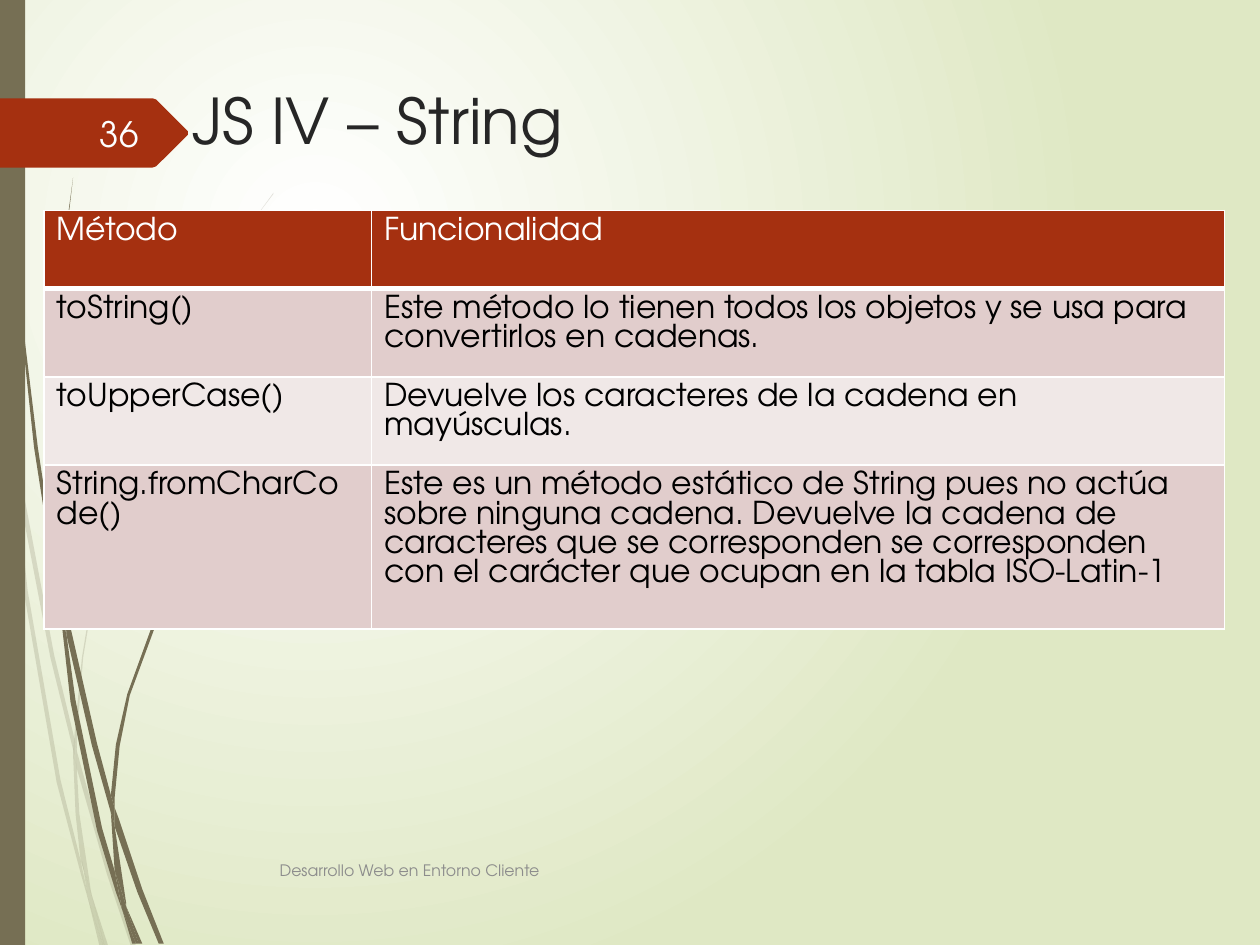
import pptx
import pptx.util
import pptx.dml.color
import pptx.enum.shapes
import pptx.enum.text
import pptx.oxml
import pptx.oxml.ns
from dataclasses import dataclass
from pptx.util import Inches

FONT = "TeX Gyre Adventor"
HUES = {
    "white": "FFFFFF", "lime": "DFE8C4", "olive": "766F54", "rust": "A53010",
    "ink": "262626", "grey": "8C8C8C", "snow": "FEFFFF", "black": "000000",
    "rose": "E1CDCC", "pale": "F0E8E7",
}
ALIGN = pptx.enum.text.PP_ALIGN
ANCHOR = pptx.enum.text.MSO_ANCHOR


@dataclass
class Label:
    text: str
    left: float
    top: float
    width: float
    height: float
    size: int
    hue: str
    anchor: ANCHOR = ANCHOR.MIDDLE
    align: ALIGN = ALIGN.LEFT


@dataclass
class Row:
    method: str
    use: str
    height: float
    fill: str
    hue: str = "black"


FAINT = [
    "0.08,3.5 0.06,3.22 0,2.82 0,2.99 0.07,3.44",
    "0.4,5.22 0.59,5.99 0.59,5.86 0.43,5.2 0.1,3.45 0.12,3.76",
    "0.64,6.07 0.61,5.96 0.61,6.1 0.85,6.94 1.04,7.51 1.08,7.51 0.88,6.92",
    "0.83,7.51 0.86,7.51 0.73,7.11",
    "0.64,6.83 0.48,6.19 0.22,4.69 0.12,3.76 0.08,3.5 0.19,4.7 0.45,6.21 0.64,6.93 0.7,7.14 0.69,7.07",
    "0.58,5.99 0.6,6.46 0.64,6.83 0.67,6.92 0.73,7.11 0.72,7.06 0.63,6.46 0.61,6.1 0.61,6.08",
    "0.61,5.84 0.66,5.22 0.76,4.62 1.11,3.49 1.59,2.45 1.87,1.98 2.01,1.75 2.17,1.54 2.17,1.53 "
    "2.01,1.75 1.86,1.97 1.58,2.44 1.1,3.48 0.75,4.61 0.65,5.22 0.59,5.84 0.59,5.86 0.61,5.96",
    "0.7,7.14 0.79,7.51 0.82,7.51",
    "0.61,6.08 0.61,6.1 0.61,5.96 0.59,5.86 0.58,5.99",
    "0.67,6.92 0.65,6.83 0.69,7.07 0.7,7.14 0.82,7.51 0.83,7.51 0.73,7.11",
]
SOLID = [
    "0.05,1.1 0.14,2.33 0.27,3.55 0.46,4.77 0.47,4.81 0.45,4.57 0.45,4.53 0.3,3.55 "
    "0.15,2.32 0.06,1.09 0.04,0.48 0.03,0 0.02,0 0.03,0.48",
    "0.73,5.92 0.88,6.45 0.88,6.31 0.77,5.9 0.5,4.72 0.53,5.05",
    "0.94,6.49 0.91,6.41 0.91,6.56 1.09,7.08 1.26,7.49 1.3,7.49 1.13,7.06",
    "0.91,6.91 0.81,6.57 0.6,5.56 0.53,5.05 0.47,4.77 0.56,5.57 0.77,6.59 0.92,7.08 0.97,7.22 0.96,7.17",
    "0.5,4.72 0.48,4.53 0.44,3.49 0.48,2.45 0.52,1.93 0.58,1.41 0.51,1.93 0.47,2.45 0.43,3.49 0.45,4.49 0.49,4.72",
    "1.1,7.49 1.13,7.49 1,7.19",
    "0.47,4.77 0.53,5.05 0.5,4.72 0.49,4.72 0.45,4.49 0.45,4.53",
    "0.91,6.33 0.95,5.92 1.03,5.52 1.31,4.76 1.69,4.06 1.91,3.74 2.03,3.59 2.16,3.44 2.15,3.44 "
    "2.03,3.58 1.91,3.73 1.68,4.05 1.29,4.74 1.01,5.51 0.92,5.91 0.88,6.31 0.91,6.41",
    "0.97,7.22 1.05,7.49 1.08,7.49",
    "0.88,6.45 0.91,6.91 0.96,7.06 1,7.19 1,7.16 0.91,6.56 0.9,6.51",
    "0.88,6.45 0.9,6.51 0.91,6.56 0.91,6.41 0.88,6.31",
    "0.96,7.06 0.91,6.91 0.96,7.17 0.97,7.22 1.08,7.49 1.1,7.49 1,7.19",
]
TAG = "1.49,1.07 1.24,1.32 1.21,1.33 0,1.33 0,0.78 1.21,0.78 1.24,0.79 1.49,1.04"

LABELS = [
    Label("JS IV – String", 1.43, 0.6, 9, 0.87, 36, "ink", ANCHOR.TOP),
    Label("Desarrollo Web en Entorno Cliente", 2.12, 6.71, 6.25, 0.4, 9, "grey"),
    Label("36", 0.56, 0.86, 0.64, 0.4, 20, "snow", align=ALIGN.RIGHT),
]
ROWS = [
    Row("Método", "Funcionalidad", 0.62, "rust", "white"),
    Row("toString()", "Este método lo tienen todos los objetos y se usa para convertirlos en cadenas.", 0.7, "rose"),
    Row("toUpperCase()", "Devuelve los caracteres de la cadena en mayúsculas.", 0.59, "pale"),
    Row("String.fromCharCode()",
        "Este es un método estático de String pues no actúa sobre ninguna cadena. "
        "Devuelve la cadena de caracteres que se corresponden se corresponden "
        "con el carácter que ocupan en la tabla ISO-Latin-1", 1.3, "rose"),
]


def tint(name: str) -> pptx.dml.color.RGBColor:
    return pptx.dml.color.RGBColor.from_string(HUES[name])


def paint(shape, hue: str, alpha: int = 100) -> None:
    shape.shadow.inherit = False
    shape.fill.solid()
    shape.fill.fore_color.rgb = tint(hue)
    shape.line.fill.background()
    if alpha < 100:
        node = next(shape._element.spPr.iter(pptx.oxml.ns.qn("a:srgbClr")))
        node.append(pptx.oxml.parse_xml(
            f'<a:alpha {pptx.oxml.ns.nsdecls("a")} val="{alpha * 1000}"/>'))


def draw_blob(slide, text: str, hue: str, alpha: int = 100) -> None:
    spots = [tuple(Inches(float(part)) for part in pair.split(",")) for pair in text.split()]
    pen = slide.shapes.build_freeform(*spots[0])
    pen.add_line_segments(spots[1:], close=True)
    paint(pen.convert_to_shape(), hue, alpha)


def style(para, size: int, hue: str) -> None:
    para.font.name = FONT
    para.font.size = pptx.util.Pt(size)
    para.font.bold = False
    para.font.color.rgb = tint(hue)


def draw_label(slide, label: Label) -> None:
    box = slide.shapes.add_textbox(*map(Inches, (label.left, label.top, label.width, label.height)))
    frame = box.text_frame
    frame.word_wrap = True
    frame.vertical_anchor = label.anchor
    para = frame.paragraphs[0]
    para.text = label.text
    para.alignment = label.align
    style(para, label.size, label.hue)


def edge(cell, base: int) -> None:
    props = cell._tc.get_or_add_tcPr()
    for spot, side in enumerate("LRTB"):
        width = pptx.util.Pt(base if side == "B" else 1)
        props.insert(spot, pptx.oxml.parse_xml(
            f'<a:ln{side} {pptx.oxml.ns.nsdecls("a")} w="{width}"><a:solidFill>'
            f'<a:srgbClr val="{HUES["white"]}"/></a:solidFill></a:ln{side}>'))


def draw_table(slide, rows: list[Row]) -> None:
    widths = (2.6, 6.77)
    tall = sum(row.height for row in rows)
    table = slide.shapes.add_table(len(rows), len(widths), Inches(0.35), Inches(1.67),
                                   Inches(sum(widths)), Inches(tall)).table
    table.first_row = table.horz_banding = False
    for col, width in zip(table.columns, widths):
        col.width = Inches(width)
    for spot, row in enumerate(rows):
        table.rows[spot].height = Inches(row.height)
        for cell, text in zip(table.rows[spot].cells, (row.method, row.use)):
            cell.fill.solid()
            cell.fill.fore_color.rgb = tint(row.fill)
            cell.text = text
            style(cell.text_frame.paragraphs[0], 18, row.hue)
            edge(cell, 3 if spot == 0 else 1)


def fill_back(slide) -> None:
    fill = slide.background.fill
    fill.gradient()
    for stop, hue in zip(fill.gradient_stops, ("white", "lime")):
        stop.color.rgb = tint(hue)
    line = next(slide._element.iter(pptx.oxml.ns.qn("a:lin")))
    line.getparent().replace(line, pptx.oxml.parse_xml(
        f'<a:path {pptx.oxml.ns.nsdecls("a")} path="circle">'
        '<a:fillToRect l="50000" t="50000" r="100000" b="100000"/></a:path>'))


def main() -> None:
    deck = pptx.Presentation()
    deck.slide_width, deck.slide_height = Inches(10), Inches(7.5)
    slide = deck.slides.add_slide(deck.slide_layouts[6])
    fill_back(slide)
    for wisps, alpha in ((FAINT, 20), (SOLID, 100)):
        for wisp in wisps:
            draw_blob(slide, wisp, "olive", alpha)
    bar = slide.shapes.add_shape(pptx.enum.shapes.MSO_SHAPE.RECTANGLE, 0, 0, Inches(0.2), deck.slide_height)
    paint(bar, "olive")
    draw_blob(slide, TAG, "rust")
    for label in LABELS:
        draw_label(slide, label)
    draw_table(slide, ROWS)
    deck.save("out.pptx")


if __name__ == "__main__":
    main()
